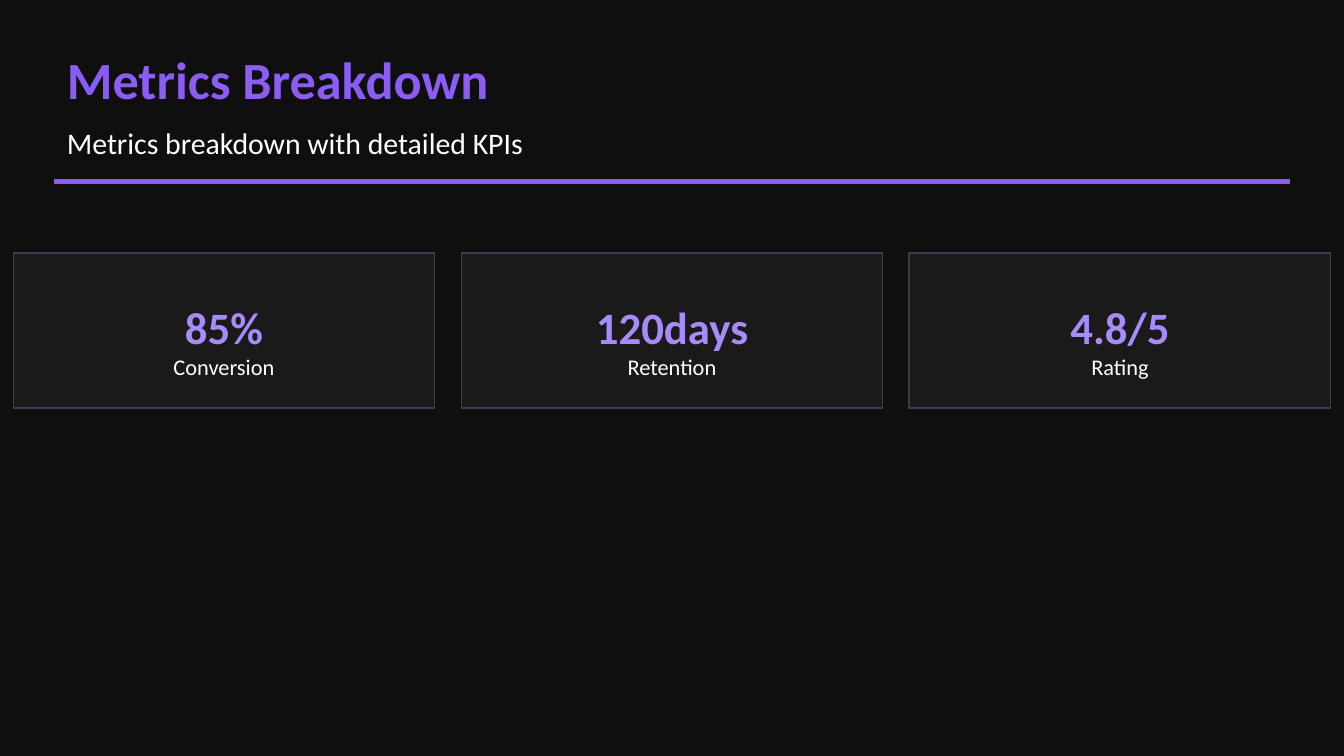
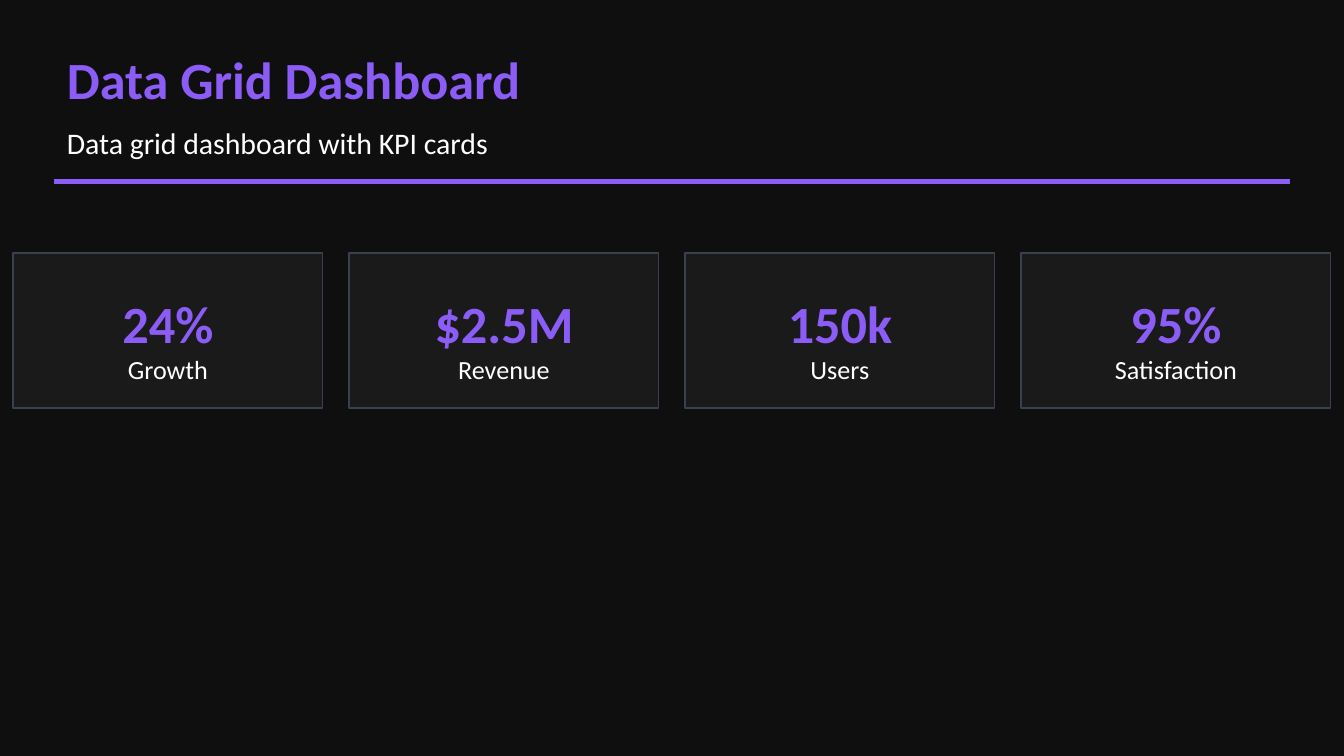
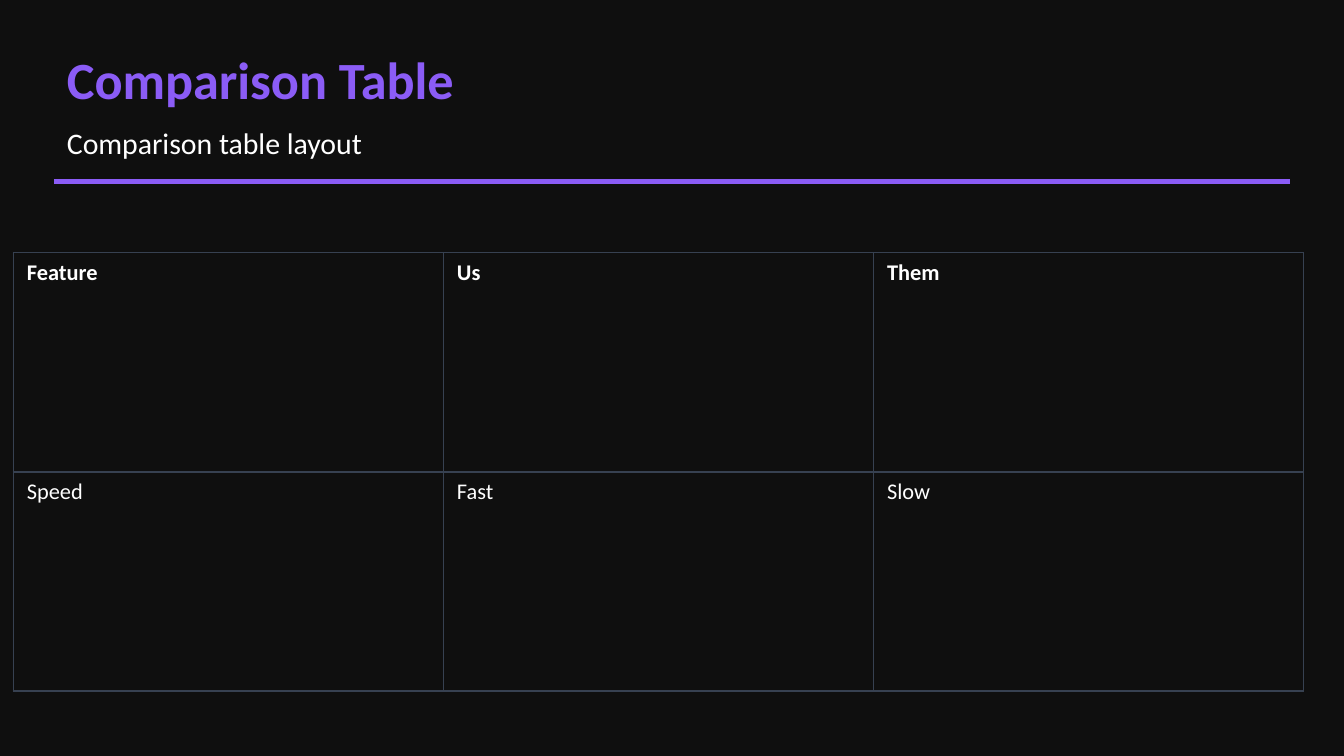
from dataclasses import dataclass
from typing import Any

import lxml.etree
import pptx
import pptx.dml.color
import pptx.enum.shapes
import pptx.enum.text
import pptx.oxml
import pptx.oxml.ns
import pptx.util

Inches = pptx.util.Inches
Pt = pptx.util.Pt
RGBColor = pptx.dml.color.RGBColor
Align = pptx.enum.text.PP_ALIGN
Anchor = pptx.enum.text.MSO_ANCHOR
qn = pptx.oxml.ns.qn


@dataclass(frozen=True)
class TextStyle:
    size: int
    color: str
    bold: bool = False
    align: Any = Align.LEFT
    anchor: Any = Anchor.TOP


@dataclass(frozen=True)
class Theme:
    font: str = "Calibri"
    background: str = "0F0F0F"
    card: str = "1A1A1A"
    border: str = "374151"
    accent: str = "8B5CF6"
    title: TextStyle = TextStyle(28, "8B5CF6", True)
    subtitle: TextStyle = TextStyle(16, "FFFFFF")
    header_cell: TextStyle = TextStyle(12, "FFFFFF", True)
    body_cell: TextStyle = TextStyle(12, "FFFFFF")
    metric_value: TextStyle = TextStyle(24, "A78BFA", True, Align.CENTER, Anchor.BOTTOM)
    metric_label: TextStyle = TextStyle(12, "FFFFFF", False, Align.CENTER)
    grid_value: TextStyle = TextStyle(28, "8B5CF6", True, Align.CENTER, Anchor.BOTTOM)
    grid_label: TextStyle = TextStyle(14, "FFFFFF", False, Align.CENTER)


@dataclass(frozen=True)
class Card:
    value: str
    label: str


THEME = Theme()
PAGE_WIDTH = Inches(10)
PAGE_HEIGHT = PAGE_WIDTH * 9 // 16
HEADER_LEFT = Inches(0.4)
HEADER_WIDTH = PAGE_WIDTH - 2 * HEADER_LEFT
MARGIN = Inches(0.1)
CONTENT_TOP = Inches(1.88)
CARD_HEIGHT = Inches(1.16)


def write_text(frame: Any, text: str, style: TextStyle) -> None:
    frame.text = text
    for para in frame.paragraphs:
        para.alignment = style.align
        for span in para.runs:
            span.font.name = THEME.font
            span.font.size = Pt(style.size)
            span.font.bold = style.bold
            span.font.color.rgb = RGBColor.from_string(style.color)


def add_text(page: Any, left: int, top: int, width: int, height: int,
             text: str, style: TextStyle) -> None:
    frame = page.shapes.add_textbox(left, top, width, height).text_frame
    frame.word_wrap = True
    frame.vertical_anchor = style.anchor
    write_text(frame, text, style)


def add_page(deck: Any, title: str, subtitle: str) -> Any:
    page = deck.slides.add_slide(deck.slide_layouts[6])
    page.background.fill.solid()
    page.background.fill.fore_color.rgb = RGBColor.from_string(THEME.background)
    add_text(page, HEADER_LEFT, Inches(0.3), HEADER_WIDTH, Inches(0.6), title, THEME.title)
    add_text(page, HEADER_LEFT, Inches(0.88), HEADER_WIDTH, Inches(0.35),
             subtitle, THEME.subtitle)
    rule_top = Inches(1.35)
    rule = page.shapes.add_connector(
        pptx.enum.shapes.MSO_CONNECTOR.STRAIGHT,
        HEADER_LEFT, rule_top, HEADER_LEFT + HEADER_WIDTH, rule_top)
    rule.line.color.rgb = RGBColor.from_string(THEME.accent)
    rule.line.width = Pt(3)
    lxml.etree.SubElement(rule.element.spPr, qn("a:effectLst"))
    return page


def add_card(page: Any, card: Card, left: int, width: int,
             value_style: TextStyle, label_style: TextStyle) -> None:
    box = page.shapes.add_shape(pptx.enum.shapes.MSO_SHAPE.RECTANGLE,
                                left, CONTENT_TOP, width, CARD_HEIGHT)
    box.shadow.inherit = False
    box.fill.solid()
    box.fill.fore_color.rgb = RGBColor.from_string(THEME.card)
    box.line.color.rgb = RGBColor.from_string(THEME.border)
    box.line.width = Pt(1)
    text_left, text_width = left + MARGIN, width - 2 * MARGIN
    add_text(page, text_left, CONTENT_TOP + MARGIN, text_width, Inches(0.7),
             card.value, value_style)
    add_text(page, text_left, CONTENT_TOP + Inches(0.7), text_width, Inches(0.36),
             card.label, label_style)


def add_card_row(page: Any, cards: list[Card],
                 value_style: TextStyle, label_style: TextStyle) -> None:
    pitch = PAGE_WIDTH // len(cards)
    for index, card in enumerate(cards):
        add_card(page, card, index * pitch + MARGIN, pitch - 2 * MARGIN,
                 value_style, label_style)


def add_cell_borders(cell: Any) -> None:
    properties = cell._tc.get_or_add_tcPr()
    for side in ("lnL", "lnR", "lnT", "lnB"):
        border = lxml.etree.SubElement(properties, qn(f"a:{side}"), w=str(Pt(1)))
        fill = lxml.etree.SubElement(border, qn("a:solidFill"))
        lxml.etree.SubElement(fill, qn("a:srgbClr"), val=THEME.border)


def add_comparison(page: Any, rows: list[list[str]]) -> None:
    frame_width = PAGE_WIDTH - 2 * MARGIN
    frame = page.shapes.add_table(len(rows), len(rows[0]), MARGIN, CONTENT_TOP,
                                  frame_width, Inches(3.26))
    table = frame.table
    table.first_row = False
    table.horz_banding = False
    for column in table.columns:
        column.width = Inches(3.2)
    frame.width = frame_width
    for row_index, texts in enumerate(rows):
        style = THEME.body_cell if row_index else THEME.header_cell
        for column_index, text in enumerate(texts):
            cell = table.cell(row_index, column_index)
            add_cell_borders(cell)
            cell.fill.solid()
            cell.fill.fore_color.rgb = RGBColor.from_string(THEME.background)
            write_text(cell.text_frame, text, style)


def main() -> None:
    deck = pptx.Presentation()
    deck.slide_width = PAGE_WIDTH
    deck.slide_height = PAGE_HEIGHT

    metrics = add_page(deck, "Metrics Breakdown", "Metrics breakdown with detailed KPIs")
    add_card_row(metrics, [
        Card("85%", "Conversion"),
        Card("120days", "Retention"),
        Card("4.8/5", "Rating"),
    ], THEME.metric_value, THEME.metric_label)

    dashboard = add_page(deck, "Data Grid Dashboard", "Data grid dashboard with KPI cards")
    add_card_row(dashboard, [
        Card("24%", "Growth"),
        Card("$2.5M", "Revenue"),
        Card("150k", "Users"),
        Card("95%", "Satisfaction"),
    ], THEME.grid_value, THEME.grid_label)

    comparison = add_page(deck, "Comparison Table", "Comparison table layout")
    add_comparison(comparison, [
        ["Feature", "Us", "Them"],
        ["Speed", "Fast", "Slow"],
    ])

    deck.save("out.pptx")


if __name__ == "__main__":
    main()
